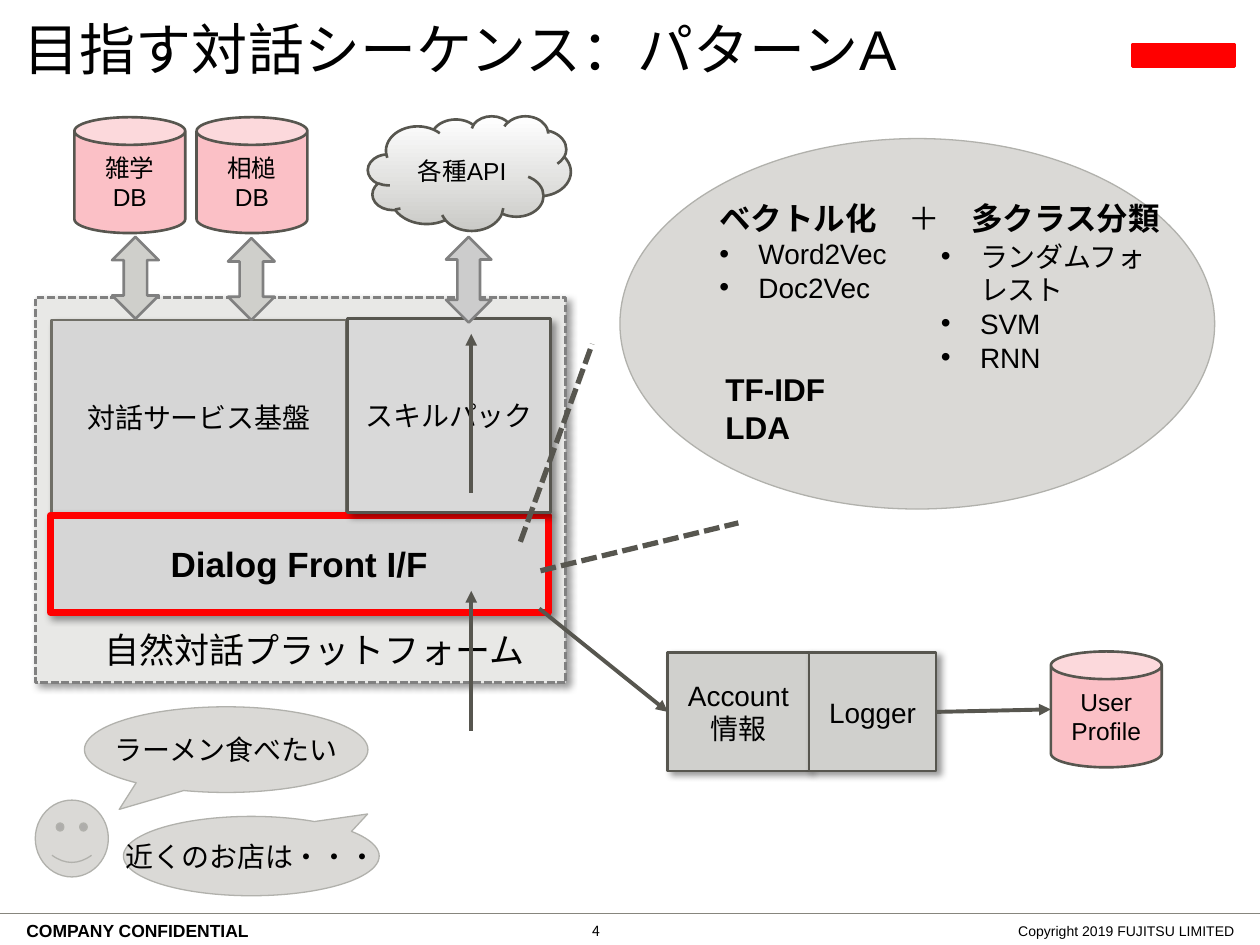
from lxml import etree
from pptx import Presentation
from pptx import util as u
from pptx.dml.color import RGBColor
from pptx.enum import dml, shapes, text
from pptx.oxml import ns

SHAPE = shapes.MSO_SHAPE
ALIGN = text.PP_ALIGN
ANCHOR = text.MSO_ANCHOR
DASH = dml.MSO_LINE.SQUARE_DOT
DARK, GRAY, PALE = "57564F", "808080", "DAD9D6"

STYLES = {
    "platform": dict(fill="E8E8E6", line=GRAY, dash=DASH, shadow=True),
    "service": dict(fill="D6D6D6", line="706F67", shadow=True),
    "front": dict(fill="D6D6D6", line="FF0000", width=4, shadow=True),
    "skill": dict(fill="D9D9D9", line=DARK, shadow=True),
    "store": dict(fill="D0D0CD", line=DARK, shadow=True),
    "can": dict(fill="FBC0C6", line=DARK),
    "cloud": dict(fill=("FFFFFF", "CACAC7"), line=DARK),
    "arrow": dict(fill="CFCFCB", line=GRAY),
    "skill arrow": dict(fill="CCCCCC", line=GRAY),
    "pale": dict(fill=PALE, line="B1B1AC", width=0.75),
    "mark": dict(fill="FF0000", line="FF0000"),
}
CAN_SIZE = (0.88, 0.92)
SHAPES = [
    ("mark", SHAPE.RECTANGLE, (8.99, 0.35, 0.81, 0.18), [], {}),
    ("platform", SHAPE.RECTANGLE, (0.28, 2.36, 4.21, 3.06), [], {}),
    ("cloud", SHAPE.CLOUD, (2.92, 0.92, 1.61, 0.91), ["各種API"], dict(size=14)),
    ("service", SHAPE.RECTANGLE, (0.41, 2.54, 2.34, 1.54), ["対話サービス基盤"], {}),
    ("front", SHAPE.RECTANGLE, (0.4, 4.09, 3.95, 0.77), ["Dialog Front I/F"], dict(size=20, bold=True)),
    ("skill", SHAPE.RECTANGLE, (2.76, 2.53, 1.61, 1.54), ["スキルパック"], {}),
    ("arrow", SHAPE.UP_DOWN_ARROW, (1.81, 1.89, 0.37, 0.65), [], {}),
    ("can", SHAPE.CAN, (0.59, 0.93, *CAN_SIZE), ["雑学", "DB"], dict(size=14)),
    ("can", SHAPE.CAN, (1.56, 0.93, *CAN_SIZE), ["相槌", "DB"], dict(size=14)),
    ("arrow", SHAPE.UP_DOWN_ARROW, (0.89, 1.88, 0.37, 0.65), [], {}),
    ("store", SHAPE.RECTANGLE, (5.3, 5.18, 1.12, 0.94), ["Account", "情報"], {}),
    ("store", SHAPE.RECTANGLE, (6.42, 5.18, 1.01, 0.94), ["Logger"], {}),
    ("can", SHAPE.CAN, (8.34, 5.17, *CAN_SIZE), ["User", "Profile"], dict(size=14)),
    ("skill arrow", SHAPE.UP_DOWN_ARROW, (3.54, 1.88, 0.36, 0.68), [], {}),
    ("pale", SHAPE.SMILEY_FACE, (0.28, 6.35, 0.58, 0.61), [], {}),
    ("pale", SHAPE.OVAL_CALLOUT, (0.67, 5.61, 2.25, 0.68), ["ラーメン食べたい"], dict(tip=(-0.377, 0.697))),
    ("pale", SHAPE.OVAL_CALLOUT, (0.98, 6.48, 2.03, 0.63), ["近くのお店は・・・"], dict(tip=(0.455, -0.531))),
]
METHODS = [[("ベクトル化", True), ("\u3000＋\u3000", False), ("多クラス分類", True)]]
VECTORS = ["Word2Vec", "Doc2Vec"]
CLASSIFIERS = ["ランダムフォレスト", "SVM", "RNN"]
FOOTER = dict(size=8, margin=0, anchor=ANCHOR.MIDDLE)
TEXTS = [
    ((0.59, 4.94, 3.81, 0.44), ["自然対話プラットフォーム"], dict(size=20, align=ALIGN.CENTER)),
    ((7.37, 1.85, 1.94, 1.18), CLASSIFIERS, dict(bullet=True)),
    ((5.66, 2.89, 5, 0.71), ["TF-IDF", "LDA"], dict(size=18, bold=True)),
    ((0.21, 7.3, 3.06, 0.17), ["COMPANY CONFIDENTIAL"], dict(size=10, bold=True, margin=0)),
    ((4.7, 7.28, 0.59, 0.22), ["4"], dict(FOOTER, face="Noto Sans CJK JP")),
    ((5.4, 7.28, 4.4, 0.22), ["Copyright 2019 FUJITSU LIMITED"], dict(FOOTER, align=ALIGN.RIGHT)),
]
ARROW = dict(color=DARK, width=2.25, head=True)
LINK = dict(color=DARK, width=3, dash=DASH)
LINES = [
    ((0, 7.25), (10, 7.25), dict(color="87867E", width=1)),
    ((3.74, 5.8), (3.74, 4.69), ARROW),
    ((3.74, 3.91), (3.74, 2.65), ARROW),
    ((4.28, 4.83), (5.3, 5.65), dict(ARROW, end="Account")),
    ((7.43, 5.65), (8.34, 5.63), dict(ARROW, begin="Logger")),
    ((4.13, 4.3), (4.7, 2.73), LINK),
    ((4.29, 4.53), (5.86, 4.15), LINK),
]


def paint(target, color):
    target.rgb = RGBColor.from_string(color)


def child(parent, tag, **attributes):
    return etree.SubElement(parent, ns.qn(tag), attributes)


def write(box, paragraphs, size=16, bold=False, align=ALIGN.LEFT, anchor=ANCHOR.TOP,
          margin=None, wrap=True, bullet=False, face="Arial", more=False):
    frame = box.text_frame
    frame.word_wrap, frame.vertical_anchor = wrap, anchor
    if margin is not None:
        frame.margin_left = frame.margin_right = u.Inches(margin)
        frame.margin_top = frame.margin_bottom = u.Inches(margin)
    for index, content in enumerate(paragraphs):
        para = frame.add_paragraph() if index or more else frame.paragraphs[0]
        para.alignment = align
        if bullet:
            properties = para._p.get_or_add_pPr()
            properties.set("marL", str(u.Inches(0.31)))
            properties.set("indent", str(-u.Inches(0.31)))
            child(properties, "a:buFont", typeface="Arial")
            child(properties, "a:buChar", char="•")
        for words, heavy in [(content, bold)] if isinstance(content, str) else content:
            span = para.add_run()
            span.text = words
            font = span.font
            font.name, font.size, font.bold = face, u.Pt(size), heavy
            paint(font.fill_color if hasattr(font, "fill_color") else font.color, "000000")
            child(span._r.get_or_add_rPr(), "a:ea", typeface="Noto Sans CJK JP")


def add_shadow(shape):
    effects = shape._element.spPr.find(ns.qn("a:effectLst"))
    outer = child(effects, "a:outerShdw", blurRad=str(u.Pt(4)), dist=str(u.Pt(3)),
                  dir="2700000", algn="tl", rotWithShape="0")
    child(child(outer, "a:srgbClr", val="000000"), "a:alpha", val="40000")


def add_figure(page, kind, place, fill, line, width=1.5, dash=None, shadow=False, tip=None):
    shape = page.shapes.add_shape(kind, *map(u.Inches, place))
    shape.shadow.inherit = False
    if isinstance(fill, tuple):
        shape.fill.gradient()
        shape.fill.gradient_angle = 270
        for stop, color, position in zip(shape.fill.gradient_stops, fill, (0, 1)):
            paint(stop.color, color)
            stop.position = position
    else:
        shape.fill.solid()
        paint(shape.fill.fore_color, fill)
    paint(shape.line.color, line)
    shape.line.width = u.Pt(width)
    if dash:
        shape.line.dash_style = dash
    if shadow:
        add_shadow(shape)
    if tip:
        shape.adjustments[0], shape.adjustments[1] = tip
    return shape


def add_line(page, start, stop, boxes, color, width, dash=None, head=False, begin=None, end=None):
    line = page.shapes.add_connector(shapes.MSO_CONNECTOR.STRAIGHT, *map(u.Inches, start + stop))
    paint(line.line.color, color)
    line.line.width = u.Pt(width)
    if dash:
        line.line.dash_style = dash
    if head:
        child(line.line._get_or_add_ln(), "a:tailEnd", type="triangle")
    child(line._element.spPr, "a:effectLst")
    if begin:
        line.begin_connect(boxes[begin], 3)
    if end:
        line.end_connect(boxes[end], 1)


def main():
    deck = Presentation()
    deck.slide_width, deck.slide_height = u.Inches(10), u.Inches(7.5)
    page = deck.slides.add_slide(deck.slide_layouts[5])
    title = page.shapes.title
    title.left, title.top, title.width, title.height = map(u.Inches, (0.19, 0, 8.59, 0.76))
    write(title, ["目指す対話シーケンス：パターンA"], size=32, margin=0, anchor=ANCHOR.MIDDLE)

    boxes = {}
    for style, kind, place, words, options in SHAPES:
        options = dict(options)
        shape = add_figure(page, kind, place, tip=options.pop("tip", None), **STYLES[style])
        if words:
            write(shape, words, align=ALIGN.CENTER, anchor=ANCHOR.MIDDLE, wrap=False, **options)
            boxes[words[0]] = shape

    ellipse = add_figure(page, SHAPE.OVAL, (4.92, 1.1, 4.72, 2.94), **STYLES["pale"])
    write(ellipse, METHODS, size=18, wrap=False)
    write(ellipse, VECTORS, wrap=False, bullet=True, more=True)

    for place, words, options in TEXTS:
        write(page.shapes.add_textbox(*map(u.Inches, place)), words, **options)
    for start, stop, options in LINES:
        add_line(page, start, stop, boxes, **options)
    deck.save("out.pptx")


if __name__ == "__main__":
    main()
